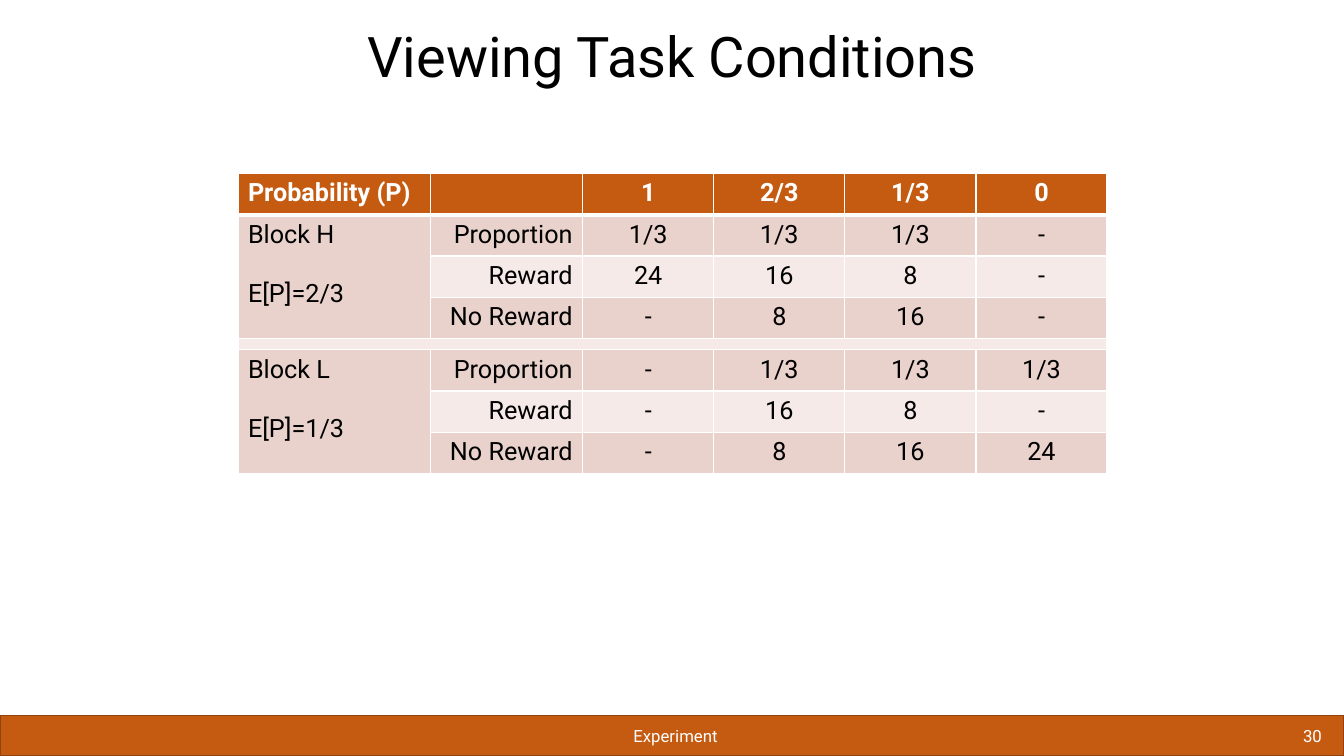
from lxml import etree
from pptx import Presentation
from pptx.dml.color import RGBColor
from pptx.enum import shapes, text
from pptx.oxml import ns
from pptx.util import Inches, Pt

ORANGE = RGBColor(0xC5, 0x5A, 0x11)
BROWN = RGBColor(0x92, 0x43, 0x0D)
ROSE = RGBColor(0xEA, 0xD2, 0xCC)
PALE_ROSE = RGBColor(0xF5, 0xEA, 0xE7)
WHITE = RGBColor(0xFF, 0xFF, 0xFF)
BLACK = RGBColor(0, 0, 0)
LEFT, CENTER, RIGHT = text.PP_ALIGN.LEFT, text.PP_ALIGN.CENTER, text.PP_ALIGN.RIGHT

COLUMN_WIDTHS = [1.91, 1.51] + [1.3] * 4
ROW_HEIGHT, SPACER_HEIGHT = 0.41, 0.11
SPACER_ROW = 4
BLOCK_ROWS = (1, 5)
CONDITIONS = [
    ["Probability (P)", "", "1", "2/3", "1/3", "0"],
    ["Block H\nE[P]=2/3", "Proportion", "1/3", "1/3", "1/3", "-"],
    ["", "Reward", "24", "16", "8", "-"],
    ["", "No Reward", "-", "8", "16", "-"],
    [""] * 6,
    ["Block L\nE[P]=1/3", "Proportion", "-", "1/3", "1/3", "1/3"],
    ["", "Reward", "-", "16", "8", "-"],
    ["", "No Reward", "-", "8", "16", "24"],
]


def write_text(frame, content, size, color, alignment, bold=False, gap=0):
    """Fill a text frame with one paragraph per line of content."""
    for index, line in enumerate(content.split("\n")):
        paragraph = frame.add_paragraph() if index else frame.paragraphs[0]
        paragraph.alignment = alignment
        if index:
            paragraph.space_before = Pt(gap)
        run = paragraph.add_run()
        run.text = line
        run.font.color.rgb = color
        formats = {"name": "Roboto", "size": Pt(size), "bold": bold}
        for name, value in formats.items():
            setattr(run.font, name, value)


def add_label(slide, box, content, size, color, alignment, anchor):
    """Add a wrapped text box and return its first paragraph."""
    frame = slide.shapes.add_textbox(*map(Inches, box)).text_frame
    frame.word_wrap = True
    frame.vertical_anchor = anchor
    write_text(frame, content, size, color, alignment)
    return frame.paragraphs[0]


def add_footer_bar(slide):
    """Draw the band along the bottom of the slide."""
    bar = slide.shapes.add_shape(
        shapes.MSO_SHAPE.RECTANGLE, Inches(0), Inches(7.1), Inches(13.33), Inches(0.4))
    bar.shadow.inherit = False
    bar.fill.solid()
    bar.fill.fore_color.rgb = ORANGE
    bar.line.color.rgb = BROWN
    bar.line.width = Pt(1)


def set_borders(cell, widths):
    """Give a cell white borders with widths in left, right, top, bottom order."""
    properties = cell._tc.get_or_add_tcPr()
    for index, (side, width) in enumerate(zip("LRTB", widths)):
        line = etree.Element(ns.qn(f"a:ln{side}"), w=str(Pt(width)))
        fill = etree.SubElement(line, ns.qn("a:solidFill"))
        etree.SubElement(fill, ns.qn("a:srgbClr"), val=str(WHITE))
        properties.insert(index, line)


def shrink_empty_cell(cell):
    """Let an empty cell fit a very low row."""
    cell.margin_top = cell.margin_bottom = 0
    paragraph = cell.text_frame.paragraphs[0]._p
    etree.SubElement(paragraph, ns.qn("a:endParaRPr"), sz="100")


def format_cell(cell, row, column, content):
    """Style one cell by its place in the table and write its text."""
    header = row == 0
    cell.fill.solid()
    cell.fill.fore_color.rgb = ORANGE if header else ROSE if row % 2 else PALE_ROSE
    set_borders(cell, (1, 1, 3 if row == 1 else 1, 3 if header else 1))
    if row == SPACER_ROW:
        shrink_empty_cell(cell)
    elif content:
        alignment = {0: LEFT, 1: RIGHT}.get(column, CENTER)
        color = WHITE if header else BLACK
        write_text(cell.text_frame, content, 18, color, alignment, bold=header, gap=21)


def add_conditions_table(slide):
    """Add the table of reward conditions for both blocks."""
    heights = [SPACER_HEIGHT if row == SPACER_ROW else ROW_HEIGHT
               for row in range(len(CONDITIONS))]
    frame = slide.shapes.add_table(
        len(heights), len(COLUMN_WIDTHS), Inches(2.36), Inches(1.72),
        Inches(sum(COLUMN_WIDTHS)), Inches(sum(heights)))
    table = frame.table
    for column, width in zip(table.columns, COLUMN_WIDTHS):
        column.width = Inches(width)
    for row, height in zip(table.rows, heights):
        row.height = Inches(height)
    for row, values in enumerate(CONDITIONS):
        for column, content in enumerate(values):
            format_cell(table.cell(row, column), row, column, content)
    for row in BLOCK_ROWS:
        table.cell(row, 0).merge(table.cell(row + 2, 0))
    table.cell(SPACER_ROW, 0).merge(table.cell(SPACER_ROW, len(COLUMN_WIDTHS) - 1))


def main():
    """Build and save the slide."""
    presentation = Presentation()
    presentation.slide_width = Inches(13.33)
    presentation.slide_height = Inches(7.5)
    slide = presentation.slides.add_slide(presentation.slide_layouts[6])
    add_footer_bar(slide)
    bottom, middle = text.MSO_ANCHOR.BOTTOM, text.MSO_ANCHOR.MIDDLE
    title = add_label(slide, (0.66, 0.23, 12.01, 0.71), "Viewing Task Conditions",
                      40, BLACK, CENTER, bottom)
    title.line_spacing = 0.9
    add_label(slide, (2.24, 7.1, 8.92, 0.4), "Experiment", 12, WHITE, CENTER, middle)
    add_label(slide, (11.15, 7.1, 2.06, 0.4), "30", 12, WHITE, RIGHT, middle)
    add_conditions_table(slide)
    presentation.save("out.pptx")


if __name__ == "__main__":
    main()
